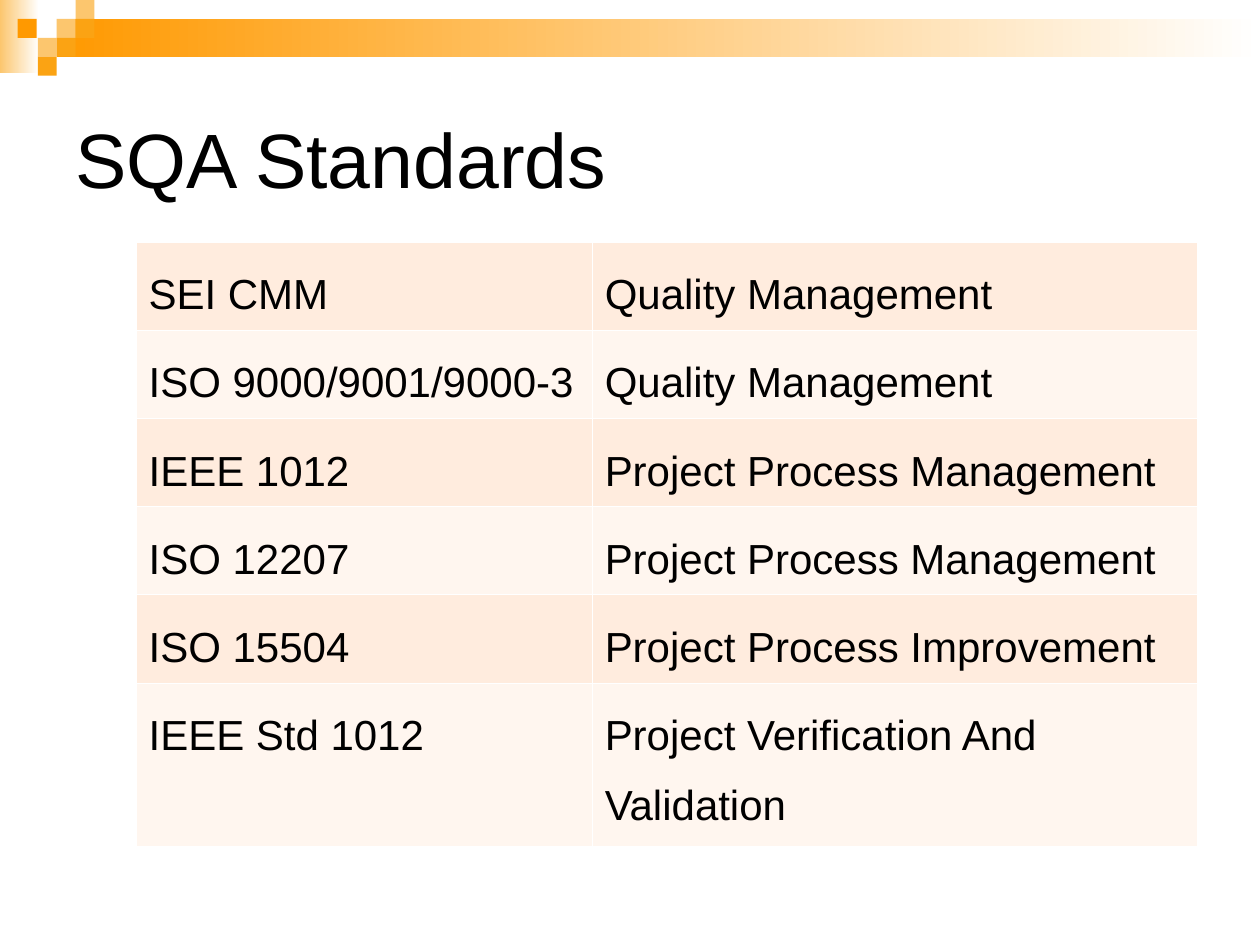
"""Build the SQA Standards slide with its banner and table."""
from lxml.etree import SubElement
from pptx import Presentation
from pptx.dml.color import RGBColor
from pptx.enum.shapes import MSO_SHAPE
from pptx.enum.text import MSO_ANCHOR, PP_ALIGN
from pptx.oxml.ns import qn
from pptx.util import Inches, Pt


def tint(code):
    return RGBColor.from_string(code)


def block(left, top, width, height, *codes):
    rect = slide.shapes.add_shape(
        MSO_SHAPE.RECTANGLE, Inches(left), Inches(top), Inches(width), Inches(height))
    rect.shadow.inherit = False
    rect.line.fill.background()
    if len(codes) == 1:
        rect.fill.solid()
        rect.fill.fore_color.rgb = tint(codes[0])
    else:
        rect.fill.gradient()
        rect.fill.gradient_angle = 0
        for stop, code in zip(rect.fill.gradient_stops, codes):
            stop.color.rgb = tint(code)


deck = Presentation()
deck.slide_width, deck.slide_height = Inches(10), Inches(7.5)
slide = deck.slides.add_slide(deck.slide_layouts[5])

block(0, 0, 0.31, 0.58, "FCC66E", "FFFFFF")
block(0.45, 0.15, 9.55, 0.3, "FF9900", "FFFFFF")
side = 0.15
tiles = [
    (0.45, 1, "FCC66E"), (0.6, 0, "FCC66E"), (0.6, 1, "FBA313"),
    (0.3, 2, "FCC66E"), (0.14, 1, "FF9900"), (0.45, 2, "FBA313"),
    (0.3, 3, "FBA313"),
]
for left, step, code in tiles:
    block(left, step * side, side, side, code)

title = slide.shapes.title
title.left, title.top = Inches(0.5), Inches(0.5)
title.width, title.height = Inches(9), Inches(1.5)
title.text_frame.text = "SQA Standards"
title.text_frame.vertical_anchor = MSO_ANCHOR.MIDDLE
para = title.text_frame.paragraphs[0]
para.alignment = PP_ALIGN.LEFT
para.font.name, para.font.size = "Arial", Pt(44)
para.font.color.rgb = tint("000000")

rows = [
    ("SEI CMM", "Quality Management"),
    ("ISO 9000/9001/9000-3", "Quality Management"),
    ("IEEE 1012", "Project Process Management"),
    ("ISO 12207", "Project Process Management"),
    ("ISO 15504", "Project Process Improvement"),
    ("IEEE Std 1012", "Project Verification And Validation"),
]
table = slide.shapes.add_table(
    len(rows), 2, Inches(1.08), Inches(1.92), Inches(8.42), Inches(4.8)).table
table.first_row = False
for column, width in zip(table.columns, (3.62, 4.8)):
    column.width = Inches(width)
for i, row in enumerate(rows):
    table.rows[i].height = Inches(1.3 if i == len(rows) - 1 else 0.7)
    for j, text in enumerate(row):
        cell = table.cell(i, j)
        cell.text = text
        para = cell.text_frame.paragraphs[0]
        para.line_spacing = 1.5
        para.font.name, para.font.size = "Arial", Pt(24)
        para.font.color.rgb = tint("000000")
        props = cell._tc.get_or_add_tcPr()
        for edge in ("a:lnL", "a:lnR", "a:lnT", "a:lnB"):
            line = SubElement(props, qn(edge), w=str(Pt(0.45)))
            fill = SubElement(line, qn("a:solidFill"))
            SubElement(fill, qn("a:srgbClr"), val="FFFFFF")
        cell.fill.solid()
        cell.fill.fore_color.rgb = tint("FFF6EF" if i % 2 else "FFECDE")

deck.save("out.pptx")
